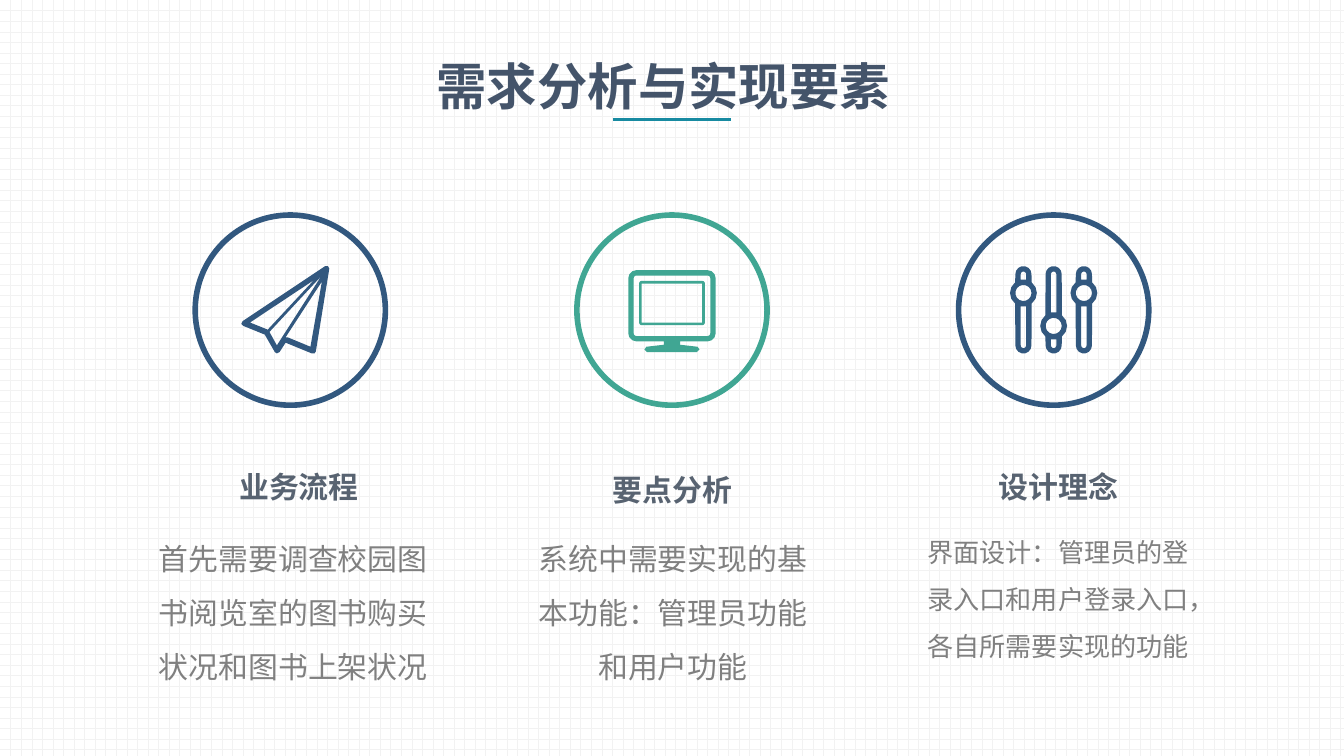
from math import cos, radians, sin

from lxml.etree import SubElement
from pptx import Presentation
from pptx.dml.color import RGBColor
from pptx.enum.dml import MSO_PATTERN
from pptx.enum.shapes import MSO_CONNECTOR, MSO_SHAPE
from pptx.enum.text import MSO_ANCHOR, MSO_AUTO_SIZE, PP_ALIGN
from pptx.oxml.ns import qn
from pptx.util import Inches, Pt

W, H = 20, 11.25
PITCH = 5.68            # distance between column centres
ICON_Y = 4.61           # centre of the icons
CIRCLE_TOP, CIRCLE = 3.2, 2.83
HEAD_W, HEAD_H = 4.04, 0.91
BODY_W = 4.23
FONT = "Noto Sans CJK SC"
COLORS = {
    "navy": "32587F", "green": "40A693", "teal": "178AA1", "title": "44546A",
    "heading": "586371", "body": "808080", "grid": "F2F2F2", "paper": "FFFFFF",
}
RGB = {name: RGBColor.from_string(value) for name, value in COLORS.items()}


def arc(cx, cy, radius, start, end):
    """Points on an arc, clockwise, in degrees from the right-hand side."""
    steps = max(3, (end - start) // 24)
    angles = [radians(start + (end - start) * i / steps) for i in range(steps + 1)]
    return [(cx + radius * cos(a), cy + radius * sin(a)) for a in angles]


def write_text(sp, text, size, color, bold=False, spacing=1.0, before=0.0):
    tf = sp.text_frame
    tf.word_wrap = True
    tf.auto_size = MSO_AUTO_SIZE.SHAPE_TO_FIT_TEXT
    tf.vertical_anchor = MSO_ANCHOR.TOP
    p = tf.paragraphs[0]
    p.alignment = PP_ALIGN.CENTER
    p.line_spacing = spacing
    p.space_before = Pt(before * size)
    r = p.add_run()
    r.text = text
    r.font.name = FONT
    r.font.size = Pt(size)
    r.font.bold = bold
    r.font.color.rgb = RGB[color]
    SubElement(r.font._element, qn("a:ea"), typeface=FONT)


# Icons: lists of shapes, each a list of contours around the circle's centre
plane = [[
    [(0.56, -0.65), (0.52, -0.65), (-0.71, 0.17), (-0.73, 0.21), (-0.7, 0.24),
     (-0.38, 0.37), (-0.23, 0.63), (-0.2, 0.65), (-0.16, 0.63), (-0.07, 0.49),
     (0.32, 0.65), (0.36, 0.65), (0.38, 0.62), (0.58, -0.61)],
    [(0.3, 0.55), (-0.04, 0.41), (-0.07, 0.41), (0.47, -0.42)],
    [(-0.31, 0.33), (0.46, -0.5), (-0.2, 0.53)],
    [(-0.6, 0.19), (0.35, -0.44), (-0.34, 0.3), (-0.35, 0.29)],
]]

stand = [(0.12, 0.47), (0.12, 0.52), (0.38, 0.55), (0.41, 0.59), (0.37, 0.63)]
stand += [(-x, y) for x, y in reversed(stand)]
frames = []
for half, top, bottom, radius, extra in [
    (0.65, -0.59, 0.47, 0.12, stand),
    (0.57, -0.51, 0.39, 0.04, []),
    (0.49, -0.43, 0.23, 0.04, []),
]:
    x, y0, y1 = half - radius, top + radius, bottom - radius
    frames.append(arc(-x, y0, radius, 180, 270) + arc(x, y0, radius, 270, 360)
                  + arc(x, y1, radius, 0, 90) + extra + arc(-x, y1, radius, 90, 180))
case, case_hole, screen = frames
screen_hole = [(-0.45, -0.39), (0.45, -0.39), (0.45, 0.19), (-0.45, 0.19)]
monitor = [[screen, screen_hole], [case, case_hole]]

sliders = []
for x, knob in [(-0.45, -0.25), (0.45, -0.25), (0, 0.24)]:
    end, rail, slot, ring = 0.53, 0.12, 0.04, 0.2
    sliders.append([
        arc(x, -end, rail, 180, 360) + arc(x, knob, ring, -52, 52)
        + arc(x, end, rail, 0, 180) + arc(x, knob, ring, 128, 232),
        arc(x, knob, rail, 0, 360),
        arc(x, -end, slot, 180, 360) + [(x + slot, knob - 0.2), (x - slot, knob - 0.2)],
        arc(x, end, slot, 0, 180) + [(x - slot, knob + 0.2), (x + slot, knob + 0.2)],
    ])

prs = Presentation()
prs.slide_width, prs.slide_height = Inches(W), Inches(H)
s = prs.slides.add_slide(prs.slide_layouts[5])
bg = s.background.fill
bg.patterned()
bg.pattern = MSO_PATTERN.DOTTED_GRID
bg.fore_color.rgb, bg.back_color.rgb = RGB["grid"], RGB["paper"]

title = s.shapes.title
title.left, title.top, title.width, title.height = map(Inches, (6.01, 0.77, 7.72, 1.01))
write_text(title, "需求分析与实现要素", 54, "title", bold=True)

# Colour, icon, heading with its left and top, body with its left, top, height and size
columns = [
    ("navy", plane, ("业务流程", 2.43, 6.66),
     ("首先需要调查校园图书阅览室的图书购买状况和图书上架状况", 2.25, 7.73, 2.52, 32)),
    ("green", monitor, ("要点分析", 7.99, 6.7),
     ("系统中需要实现的基本功能：管理员功能和用户功能", 7.9, 7.73, 2.52, 32)),
    ("navy", sliders, ("设计理念", 13.73, 6.66),
     ("界面设计：管理员的登录入口和用户登录入口，各自所需要实现的功能", 13.63, 7.7, 2.22, 28)),
]
for i, (color, icon, heading, body) in enumerate(columns):
    cx = W / 2 + (i - 1) * PITCH
    circle = s.shapes.add_shape(MSO_SHAPE.OVAL, Inches(cx - CIRCLE / 2),
                                Inches(CIRCLE_TOP), Inches(CIRCLE), Inches(CIRCLE))
    circle.shadow.inherit = False
    circle.fill.background()
    circle.line.color.rgb = RGB[color]
    circle.line.width = Pt(6)

    for contours in icon:
        outline, *holes = [[(Inches(cx + x), Inches(ICON_Y + y)) for x, y in c]
                           for c in contours]
        builder = s.shapes.build_freeform(*outline[0])
        builder.add_line_segments(outline[1:], close=True)
        for hole in holes:
            builder.move_to(*hole[0])
            builder.add_line_segments(hole[1:], close=True)
        sp = builder.convert_to_shape()
        sp.shadow.inherit = False
        sp.fill.solid()
        sp.fill.fore_color.rgb = RGB[color]
        sp.line.fill.background()

    text, left, top = heading
    box = s.shapes.add_textbox(Inches(left), Inches(top), Inches(HEAD_W), Inches(HEAD_H))
    write_text(box, text, 32, "heading", bold=True, spacing=1.5, before=0.2)
    text, left, top, height, size = body
    box = s.shapes.add_textbox(Inches(left), Inches(top), Inches(BODY_W), Inches(height))
    write_text(box, text, size, "body", spacing=1.5, before=0.2)

rule = s.shapes.add_connector(MSO_CONNECTOR.STRAIGHT, Inches(W / 2 - 0.88), Inches(1.78),
                              Inches(W / 2 + 0.88), Inches(1.78))
rule.line.color.rgb = RGB["teal"]
rule.line.width = Pt(3.25)
SubElement(rule._element.spPr, qn("a:effectLst"))

prs.save("out.pptx")
